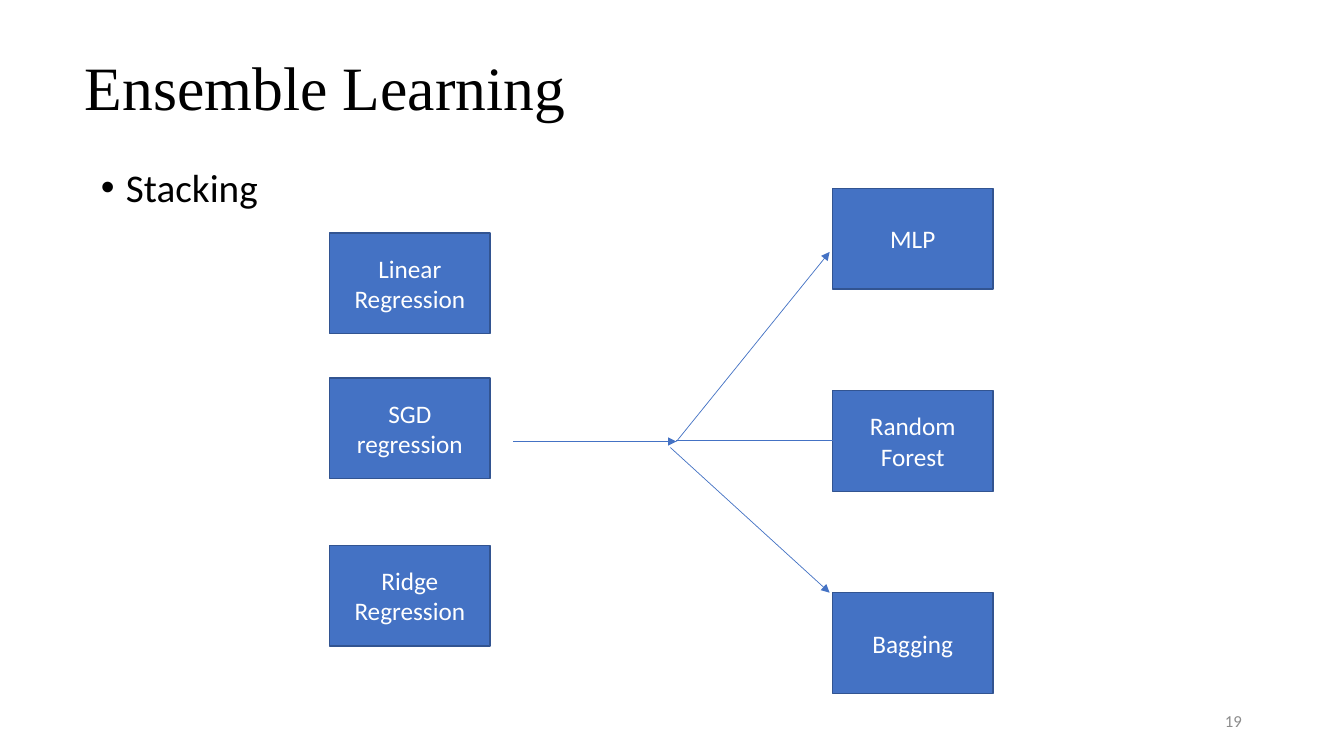
from lxml.etree import SubElement
from pptx import Presentation
from pptx.dml.color import RGBColor
from pptx.enum.shapes import MSO_CONNECTOR, MSO_SHAPE
from pptx.enum.text import MSO_ANCHOR, MSO_AUTO_SIZE, PP_ALIGN
from pptx.oxml.ns import qn
from pptx.util import Inches, Pt

WIDE, HIGH = Inches(13.33), Inches(7.5)
BLUE, EDGE, WHITE, BLACK, GREY = "4472C4", "325491", "FFFFFF", "000000", "8C8C8C"
BOX = (11.93, 13.33)
LEFT, RIGHT = 24.53, 61.95
TOP, STEP = 24.93, 26.73
MODELS = [("Linear Regression", 30.8), ("SGD regression", 50), ("Ridge Regression", 72.13)]
METAS = ["MLP", "Random Forest", "Bagging"]
HUB = (50.33, 58.4)
LINES = [
    ((38.18, 58.4), HUB, True),
    (HUB, (61.73, 33.33), True),
    ((50.33, 58.27), (RIGHT, 58.27), False),
    ((49.88, 59.2), (61.73, 78.4), True),
]


def across(share):
    return round(WIDE * share / 100)


def down(share):
    return round(HIGH * share / 100)


def paint(target, color):
    target.rgb = RGBColor.from_string(color)


def apply(target, values):
    for name, value in values.items():
        setattr(target, name, value)


def place(shape, left, top, width, height):
    apply(shape, {"left": across(left), "top": down(top),
                  "width": across(width), "height": down(height)})


def write(shape, text, size, color, align, font="Calibri", anchor=MSO_ANCHOR.MIDDLE, **extra):
    frame = shape.text_frame
    apply(frame, {"text": text, "word_wrap": True, "vertical_anchor": anchor,
                  "auto_size": MSO_AUTO_SIZE.NONE})
    para = frame.paragraphs[0]
    apply(para, {"alignment": align, **extra})
    run = para.runs[0].font
    apply(run, {"name": font, "size": Pt(size)})
    paint(run.color, color)
    return para


def add_box(slide, text, left, top):
    box = slide.shapes.add_shape(MSO_SHAPE.RECTANGLE, across(left), down(top),
                                 across(BOX[0]), down(BOX[1]))
    box.shadow.inherit = False
    box.fill.solid()
    paint(box.fill.fore_color, BLUE)
    box.line.width = Pt(1)
    paint(box.line.color, EDGE)
    write(box, text, 18, WHITE, PP_ALIGN.CENTER)


def add_line(slide, start, end, arrow):
    line = slide.shapes.add_connector(MSO_CONNECTOR.STRAIGHT, across(start[0]), down(start[1]),
                                      across(end[0]), down(end[1]))
    line.line.width = Pt(0.5)
    paint(line.line.color, BLUE)
    if arrow:
        SubElement(line.line._get_or_add_ln(), qn("a:tailEnd"), type="triangle")
    SubElement(line._element.spPr, qn("a:effectLst"))


def add_title(slide, text):
    title = slide.shapes.title
    place(title, 5.55, 2.27, 86.25, 19.33)
    write(title, text, 44, BLACK, PP_ALIGN.LEFT, "Times New Roman", line_spacing=0.9)


def add_list(slide, text):
    body = slide.placeholders[1]
    place(body, 6.75, 21.6, 86.25, 63.47)
    para = write(body, text, 28, BLACK, PP_ALIGN.LEFT, anchor=MSO_ANCHOR.TOP,
                 line_spacing=0.9, space_before=Pt(10))
    props = para._p.get_or_add_pPr()
    props.set("marL", str(Inches(0.25)))
    props.set("indent", str(-Inches(0.25)))
    SubElement(props, qn("a:buFont"), typeface="Arial")
    SubElement(props, qn("a:buChar"), char="•")


def add_number(slide, text):
    box = slide.shapes.add_textbox(0, 0, 0, 0)
    place(box, 70.65, 92.67, 22.5, 5.33)
    write(box, text, 12, GREY, PP_ALIGN.RIGHT)


def main():
    deck = Presentation()
    apply(deck, {"slide_width": WIDE, "slide_height": HIGH})
    slide = deck.slides.add_slide(deck.slide_layouts[1])
    add_title(slide, "Ensemble Learning")
    add_list(slide, "Stacking")
    add_number(slide, "19")
    for text, top in MODELS:
        add_box(slide, text, LEFT, top)
    for row, text in enumerate(METAS):
        add_box(slide, text, RIGHT, TOP + row * STEP)
    for start, end, arrow in LINES:
        add_line(slide, start, end, arrow)
    deck.save("out.pptx")


if __name__ == "__main__":
    main()
